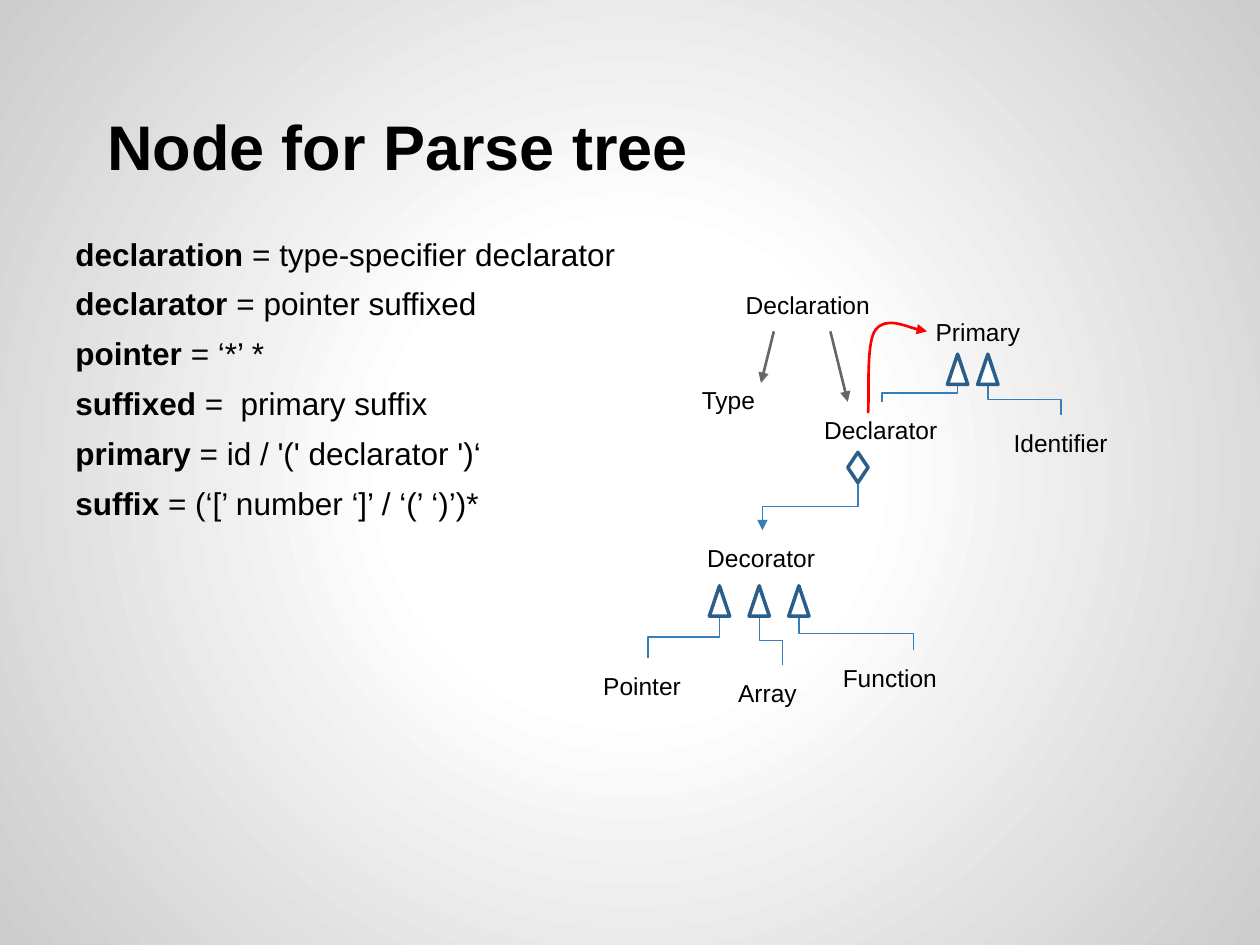
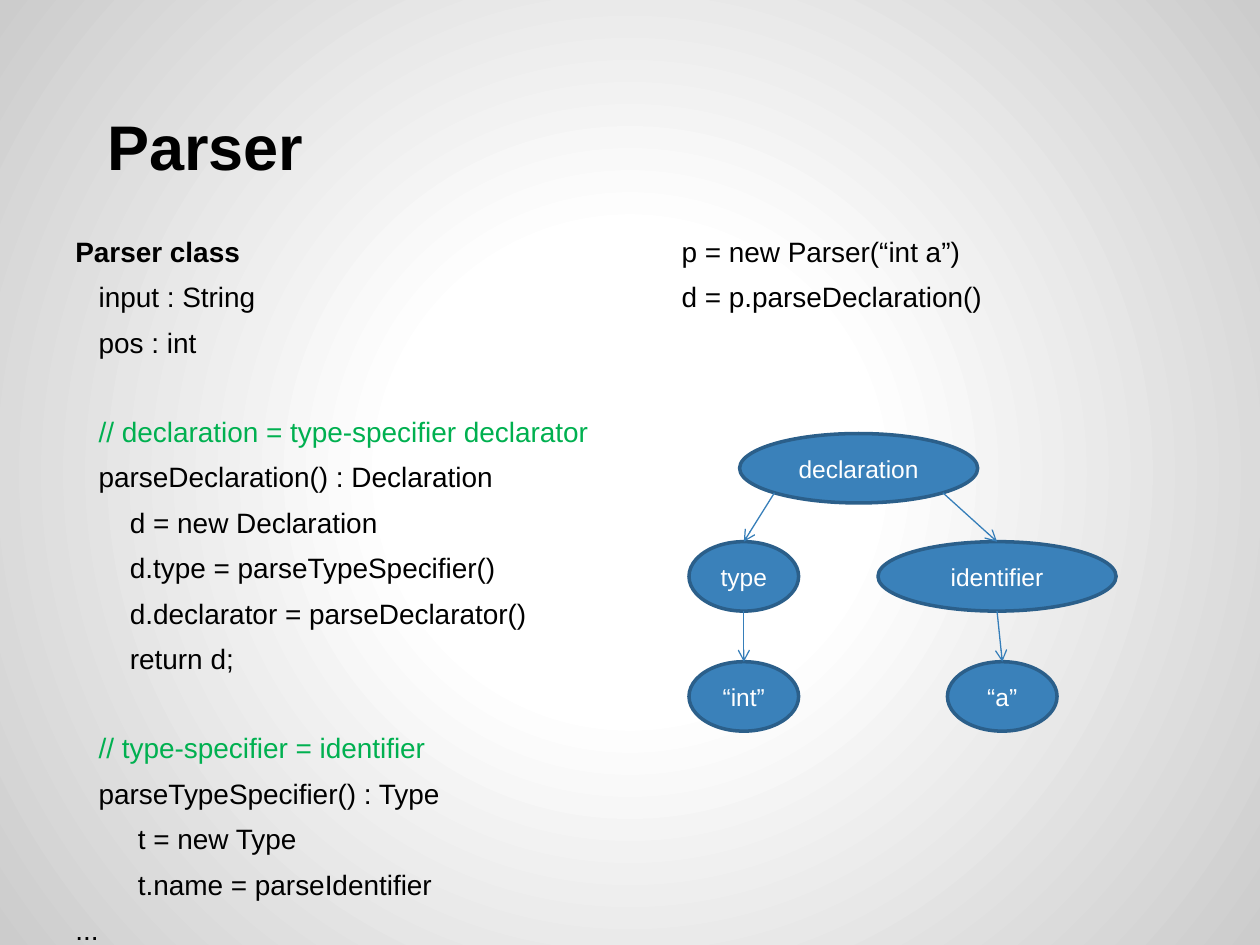
"""Build two slides on a declaration parser: node classes and parser code."""
from dataclasses import dataclass
from math import cos, radians, sin

from lxml.etree import SubElement
from pptx import Presentation
from pptx.dml.color import RGBColor
from pptx.enum.shapes import MSO_CONNECTOR as CXN, MSO_SHAPE as SHAPE
from pptx.enum.text import MSO_ANCHOR as ANCHOR, PP_ALIGN as ALIGN
from pptx.oxml import parse_xml
from pptx.oxml.ns import nsdecls, qn
from pptx.util import Cm, Pt

BLACK = RGBColor(0x00, 0x00, 0x00)
WHITE = RGBColor(0xFF, 0xFF, 0xFF)
GREY = RGBColor(0x66, 0x66, 0x66)
RED = RGBColor(0xFF, 0x00, 0x00)
GREEN = RGBColor(0x00, 0xB0, 0x50)
NODE_BLUE = RGBColor(0x3A, 0x81, 0xBA)
LINE_BLUE = RGBColor(0x36, 0x7E, 0xB9)
DARK_BLUE = RGBColor(0x2B, 0x5F, 0x8A)
BACK_EDGE = RGBColor(0xCC, 0xCC, 0xCC)

FONT = "Arial"
INSET = 0.25
HANGING = 0.97
BODY_TOP = 4.45
TITLE_BOTTOM = 3.94
LABEL_W, LABEL_H = 3.61, 1.12
MARK_W, MARK_H = 0.41, 0.61
NODE_H = 1.4
WIDE, NARROW = 4.8, 2.21


@dataclass
class Line:
    """One body paragraph: bold head, plain text and its layout."""
    text: str
    head: str = ""
    indent: float = 0
    color: RGBColor = BLACK
    before: float = 6


def set_background(master):
    """Give every slide the white to grey radial background."""
    master.background.fill.solid()
    bg = master._element.find(".//" + qn("p:bgPr"))
    stops = "".join(
        f'<a:gs pos="{pos}"><a:srgbClr val="{color}"/></a:gs>'
        for pos, color in ((0, WHITE), (30000, WHITE), (100000, BACK_EDGE)))
    bg.replace(bg[0], parse_xml(
        f'<a:gradFill {nsdecls("a")} rotWithShape="1"><a:gsLst>{stops}</a:gsLst>'
        '<a:path path="circle"><a:fillToRect l="50000" t="50000" r="50000" '
        'b="50000"/></a:path></a:gradFill>'))


def style(r, size, color=BLACK, bold=False):
    """Set the font of a run."""
    r.font.name = FONT
    r.font.size = Pt(size)
    r.font.color.rgb = color
    r.font.bold = bold


def set_indent(p, left, first):
    """Set the left margin and first-line indent of a paragraph."""
    pPr = p._p.get_or_add_pPr()
    pPr.set("marL", str(Cm(left)))
    pPr.set("indent", str(Cm(first)))


def add_box(s, x, y, w, h, anchor=ANCHOR.TOP):
    """Add a wrapping text box and return its text frame."""
    tf = s.shapes.add_textbox(Cm(x), Cm(y), Cm(w), Cm(h)).text_frame
    tf.word_wrap = True
    tf.vertical_anchor = anchor
    tf.margin_left = tf.margin_right = Cm(INSET)
    tf.margin_top = tf.margin_bottom = Cm(INSET)
    return tf


def add_title(s, text, h):
    """Add the slide title, resting on the common bottom line."""
    p = add_box(s, 1.27, TITLE_BOTTOM - h, 22.86, h, ANCHOR.BOTTOM).paragraphs[0]
    p.text = text
    set_indent(p, 0, 0.64)
    style(p.runs[0], 36, bold=True)


def add_body(s, x, w, h, size, lines):
    """Add a body text box with one paragraph per line."""
    tf = add_box(s, x, BODY_TOP, w, h)
    for i, line in enumerate(lines):
        p = tf.add_paragraph() if i else tf.paragraphs[0]
        p.space_before = Pt(line.before)
        p.line_spacing = 1.04
        set_indent(p, HANGING + line.indent, -HANGING)
        for text, bold in ((line.head, True), (line.text, False)):
            if text:
                r = p.add_run()
                r.text = text
                style(r, size, line.color, bold)


def add_label(s, text, x, y, w=LABEL_W, align=ALIGN.CENTER):
    """Add a class name to the diagram."""
    p = add_box(s, x, y, w, LABEL_H, ANCHOR.MIDDLE).paragraphs[0]
    p.text = text
    p.alignment = align
    style(p.runs[0], 14)


def set_line(sp, color, width, tail=None):
    """Set the line of a shape or connector, with an optional arrowhead."""
    sp.line.color.rgb = color
    sp.line.width = Pt(width)
    if tail:
        SubElement(sp.line._get_or_add_ln(), qn("a:tailEnd"), type=tail)


def add_line(s, kind, start, end, color, width, tail=None):
    """Add a connector without shadow."""
    c = s.shapes.add_connector(kind, *(Cm(v) for v in (*start, *end)))
    set_line(c, color, width, tail)
    SubElement(c._element.spPr, qn("a:effectLst"))
    return c


def add_elbow(s, start, end, tail=None):
    """Add an elbow that leaves start downwards and enters end from above."""
    (x1, y1), (x2, y2) = start, end
    cx, cy = (x1 + x2) / 2, (y1 + y2) / 2
    to_right = x2 > x1
    half_w = (y2 - y1) / 2 * (-1 if to_right else 1)
    half_h = abs(x2 - x1) / 2
    c = add_line(s, CXN.ELBOW, (cx - half_w, cy - half_h),
                 (cx + half_w, cy + half_h), LINE_BLUE, 0.75, tail)
    xfrm = c._element.spPr.find(qn("a:xfrm"))
    xfrm.set("rot", str((270 if to_right else 90) * 60000))


def add_shape(s, kind, x, y, w, h, fill):
    """Add a filled shape with a dark blue outline."""
    sp = s.shapes.add_shape(kind, Cm(x), Cm(y), Cm(w), Cm(h))
    sp.shadow.inherit = False
    sp.fill.solid()
    sp.fill.fore_color.rgb = fill
    set_line(sp, DARK_BLUE, 2)
    return sp


def add_relation(s, kind, x, y, end, tail=None):
    """Add a relation mark and the elbow from its foot to a class."""
    add_elbow(s, (x + MARK_W / 2, y + MARK_H), end, tail)
    add_shape(s, kind, x, y, MARK_W, MARK_H, WHITE)


def add_curve(s, points, color):
    """Add an arrow of Bezier curves: a start, then three points per curve."""
    start, *rest = [(Cm(x), Cm(y)) for x, y in points]
    builder = s.shapes.build_freeform(*start)
    builder.add_line_segments(rest, close=False)
    sp = builder.convert_to_shape()
    sp.shadow.inherit = False
    sp.fill.background()
    set_line(sp, color, 1.5, "triangle")
    outline = sp._element.find(".//" + qn("a:path"))
    segments = outline.findall(qn("a:lnTo"))
    for i in range(0, len(segments), 3):
        bezier = SubElement(outline, qn("a:cubicBezTo"))
        for segment in segments[i:i + 3]:
            bezier.append(segment[0])
            outline.remove(segment)


def add_node(s, text, x, y, w):
    """Add a parse tree node and return its centre and width."""
    sp = add_shape(s, SHAPE.OVAL, x, y, w, NODE_H, NODE_BLUE)
    tf = sp.text_frame
    tf.text = text
    tf.vertical_anchor = ANCHOR.MIDDLE
    p = tf.paragraphs[0]
    p.alignment = ALIGN.CENTER
    style(p.runs[0], 14, WHITE)
    return x + w / 2, y + NODE_H / 2, w


def add_branch(s, parent, child, angle=90):
    """Add an arrow from the parent's rim at an angle to the child's top."""
    x, y, w = parent
    start = (x + w / 2 * cos(radians(angle)), y + NODE_H / 2 * sin(radians(angle)))
    end = (child[0], child[1] - NODE_H / 2)
    add_line(s, CXN.STRAIGHT, start, end, LINE_BLUE, 0.75, "arrow")


def build_node_slide(s):
    """Build the grammar and the class diagram of its nodes."""
    add_title(s, "Node for Parse tree", 2.06)
    add_body(s, 1.27, 22.86, 6.2, 18, [
        Line("= type-specifier declarator", "declaration "),
        Line(" = pointer suffixed", "declarator"),
        Line(" = ‘*’ *", "pointer"),
        Line("=  primary suffix", "suffixed "),
        Line("= id / '(' declarator ')‘", "primary "),
        Line(" = (‘[’ number ‘]’ / ‘(’ ‘)’)*", "suffix"),
    ])
    for text, x, y in (("Declaration", 14.48, 5.59), ("Type", 12.88, 7.49),
                       ("Declarator", 15.95, 8.1), ("Primary", 17.91, 6.12),
                       ("Identifier", 19.58, 8.36), ("Decorator", 13.54, 10.69)):
        add_label(s, text, x, y)
    for text, x, y, w in (("Pointer", 11.91, 13.26, 2.29),
                          ("Array", 14.63, 13.41, 2.29),
                          ("Function", 16.74, 13.11, 3.38)):
        add_label(s, text, x, y, w, ALIGN.LEFT)
    for start, end in (((16.74, 6.68), (17.09, 8.1)),
                       ((15.6, 6.68), (15.34, 7.72))):
        add_line(s, CXN.STRAIGHT, start, end, GREY, 1.5, "triangle")
    add_curve(s, [(17.5, 8.33), (17.53, 8.05), (17.45, 6.91), (17.65, 6.65),
                  (17.86, 6.38), (18.52, 6.68), (18.69, 6.68)], RED)
    for x, y, step, ends in (
            (19.1, 7.14, 0.61, ((17.78, 8.1), (21.39, 8.36))),
            (14.3, 11.81, 0.8, ((13.06, 13.26), (15.77, 13.41), (18.42, 13.11)))):
        for i, end in enumerate(ends):
            add_relation(s, SHAPE.ISOSCELES_TRIANGLE, x + i * step, y, end)
    add_relation(s, SHAPE.DIAMOND, 17.09, 9.12, (15.37, 10.69), "triangle")


def build_parser_slide(s):
    """Build the parser code and the tree it gives."""
    member, step, deep = 0.47, 1.1, 1.26
    add_title(s, "Parser", 3.18)
    add_body(s, 1.27, 12.04, 13.79, 16, [
        Line("", "Parser class"),
        Line("input : String", indent=member),
        Line("pos : int", indent=member),
        Line("// declaration = type-specifier declarator", "", member, GREEN, 31),
        Line("parseDeclaration() : Declaration", indent=member),
        Line("d = new Declaration", indent=step),
        Line("d.type = parseTypeSpecifier()", indent=step),
        Line("d.declarator = parseDeclarator()", indent=step),
        Line("return d;", indent=step),
        Line("// type-specifier = identifier", "", member, GREEN, 31),
        Line("parseTypeSpecifier() : Type", indent=member),
        Line("t = new Type", indent=deep),
        Line("t.name = parseIdentifier", indent=deep),
        Line("..."),
    ])
    add_body(s, 13.49, 11.02, 13.79, 16, [
        Line("p = new Parser(“int a”)"),
        Line("d = p.parseDeclaration()"),
    ])
    root = add_node(s, "declaration", 14.91, 8.74, WIDE)
    kind = add_node(s, "type", 13.89, 10.92, NARROW)
    name = add_node(s, "identifier", 17.7, 10.92, WIDE)
    int_leaf = add_node(s, "“int”", 13.89, 13.34, NARROW)
    a_leaf = add_node(s, "“a”", 19.1, 13.34, NARROW)
    add_branch(s, root, kind, 135)
    add_branch(s, root, name, 45)
    add_branch(s, kind, int_leaf)
    add_branch(s, name, a_leaf)


def main():
    """Build and save the presentation."""
    prs = Presentation()
    prs.slide_width, prs.slide_height = Cm(25.4), Cm(19.05)
    set_background(prs.slide_master)
    for build in (build_node_slide, build_parser_slide):
        build(prs.slides.add_slide(prs.slide_layouts[6]))
    prs.save("out.pptx")


main()
